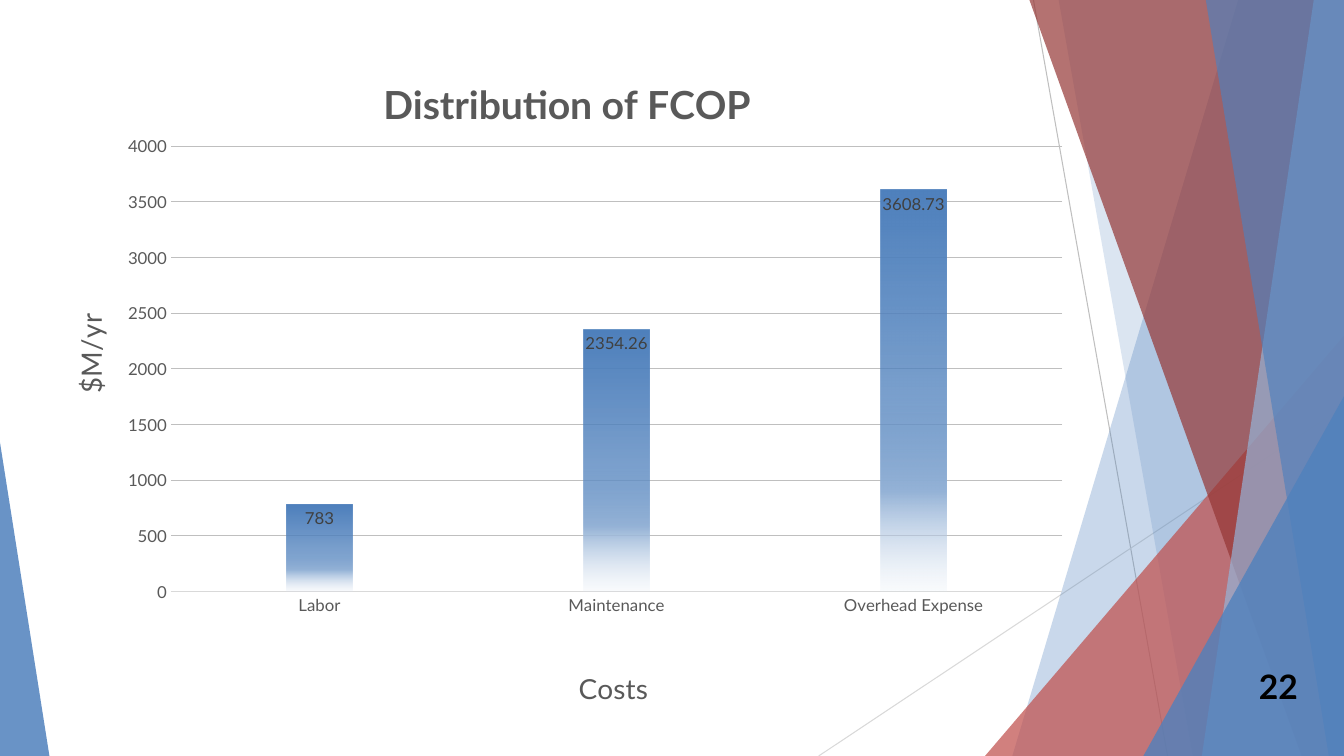
from lxml import etree
from pptx import Presentation
from pptx import util as u
from pptx.chart.data import CategoryChartData
from pptx.dml.color import RGBColor
from pptx.enum import chart as ch, shapes, text
from pptx.oxml import parse_xml
from pptx.oxml.ns import nsdecls, qn

FONT = "Lato"
BLUE = "4F81BD"
WIDE, HIGH = 13.33, 7.5


def color(code):
    return RGBColor.from_string(code)


def fade(node, pct):
    """Set the opacity of a colour element."""
    etree.SubElement(node, qn("a:alpha")).set("val", str(pct * 1000))


def style(font, size, code, bold=False):
    font.name, font.size, font.bold = FONT, u.Pt(size), bold
    font.color.rgb = color(code)


def paint(shape, code, pct):
    shape.shadow.inherit = False
    shape.fill.solid()
    shape.fill.fore_color.rgb = color(code)
    fade(shape.fill._xPr.find(".//" + qn("a:srgbClr")), pct)
    shape.line.fill.background()


def ray(slide, start, end, code):
    line = slide.shapes.add_connector(
        shapes.MSO_CONNECTOR.STRAIGHT, *map(u.Inches, start + end))
    line.line.color.rgb = color(code)
    line.line.width = u.Pt(0.75)
    etree.SubElement(line._element.spPr, qn("a:effectLst"))


def band(slide, top, foot, code, pct):
    """A band from its slanted left edge to the right side of the slide."""
    pts = [(top, 0), (WIDE, 0), (WIDE, HIGH), (foot, HIGH)]
    pts = [(u.Inches(x), u.Inches(y)) for x, y in pts]
    form = slide.shapes.build_freeform(*pts[0])
    form.add_line_segments(pts[1:], close=True)
    paint(form.convert_to_shape(), code, pct)


def wedge(slide, left, top, width, tip, code, pct):
    """A triangle that stands on the bottom of the slide."""
    shape = slide.shapes.add_shape(
        shapes.MSO_SHAPE.ISOSCELES_TRIANGLE,
        *map(u.Inches, (left, top, width, HIGH - top)))
    shape.adjustments[0] = tip
    paint(shape, code, pct)


def decor(slide):
    ray(slide, (10.25, 0), (11.58, HIGH), "BFBFBF")
    ray(slide, (WIDE, 4.03), (8.12, HIGH), "D9D9D9")
    band(slide, 12.28, 10.04, BLUE, 30)
    band(slide, 10.5, 11.83, BLUE, 20)
    wedge(slide, 9.77, 3.33, 3.56, 1, "C0504D", 72)
    band(slide, 10.21, 12.91, "953735", 70)
    band(slide, 13.03, 11.92, "95B3D7", 70)
    band(slide, 11.96, 13.18, BLUE, 65)
    wedge(slide, 11.34, 3.93, 1.99, 1, BLUE, 80)
    wedge(slide, 0, 4.39, 0.49, 0, BLUE, 85)


def number(slide, box):
    frame = slide.shapes.add_textbox(*map(u.Inches, box)).text_frame
    frame.word_wrap = True
    frame.vertical_anchor = text.MSO_ANCHOR.MIDDLE
    frame.text = "22"
    para = frame.paragraphs[0]
    para.alignment = text.PP_ALIGN.RIGHT
    style(para.runs[0].font, 24, "000000", True)


def place(node, **spots):
    """Give a chart part a manual layout in shares of the chart."""
    for old in node.findall(qn("c:layout")):
        node.remove(old)
    layout = parse_xml(f"<c:layout {nsdecls('c')}><c:manualLayout/></c:layout>")
    if "w" in spots:
        etree.SubElement(layout[0], qn("c:layoutTarget")).set("val", "inner")
    for key in "xy":
        etree.SubElement(layout[0], qn(f"c:{key}Mode")).set("val", "edge")
    for key, val in spots.items():
        etree.SubElement(layout[0], qn(f"c:{key}")).set("val", str(val))
    words = node.find(qn("c:tx"))
    if words is None:
        node.insert(0, layout)
    else:
        words.addnext(layout)


def label(title, words, size, x, y, bold=False):
    title.text_frame.text = words
    style(title.text_frame.paragraphs[0].runs[0].font, size, "595959", bold)
    place(title._element, x=x, y=y)


def shade(series):
    fill = series.format.fill
    fill.gradient()
    fill.gradient_angle = 270
    stops = series._element.find(".//" + qn("a:gsLst"))
    for old in list(stops):
        stops.remove(old)
    for pos, code, pct in ((0, BLUE, 100), (51, BLUE, 75),
                           (75, "95B3D7", 100), (100, "DCE6F2", 15)):
        stop = etree.SubElement(stops, qn("a:gs"))
        stop.set("pos", str(pos * 1000))
        tone = etree.SubElement(stop, qn("a:srgbClr"))
        tone.set("val", code)
        fade(tone, pct)


def costs(slide, box):
    data = CategoryChartData()
    data.categories = ["Labor", "Maintenance", "Overhead Expense"]
    data.add_series("Series 1", (783, 2354.26, 3608.73))
    chart = slide.shapes.add_chart(
        ch.XL_CHART_TYPE.COLUMN_CLUSTERED, *map(u.Inches, box), data).chart
    style(chart.font, 10, "000000")
    chart.has_legend = False

    # Titles and plot area
    cat, val = chart.category_axis, chart.value_axis
    label(chart.chart_title, "Distribution of FCOP", 28, 0.32, 0.05, True)
    label(cat.axis_title, "Costs", 20, 0.51, 0.94)
    label(val.axis_title, "$M/yr", 20, 0.02, 0.41)
    plane = chart._chartSpace.find(".//" + qn("c:plotArea"))
    place(plane, x=0.122, y=0.165, w=0.859, h=0.668)

    # Axes
    for axis in (cat, val):
        axis.major_tick_mark = axis.minor_tick_mark = ch.XL_TICK_MARK.NONE
        style(axis.tick_labels.font, 12, "595959")
    cat.format.line.color.rgb = color("D9D9D9")
    cat.format.line.width = u.Pt(0.75)
    val.format.line.fill.background()
    val.minimum_scale, val.maximum_scale, val.major_unit = 0, 4000, 500
    grid = val.major_gridlines.format.line
    grid.color.rgb = color("BFBFBF")
    grid.width = u.Pt(0.75)

    # Columns
    plot = chart.plots[0]
    plot.vary_by_categories = False
    plot.gap_width, plot.overlap = 355, -70
    shade(plot.series[0])
    tags = plot.series[0].data_labels
    tags.show_value = True
    tags.position = ch.XL_LABEL_POSITION.INSIDE_END
    style(tags.font, 12, "404040")


def main():
    deck = Presentation()
    deck.slide_width, deck.slide_height = u.Inches(WIDE), u.Inches(HIGH)
    slide = deck.slides.add_slide(deck.slide_layouts[6])
    decor(slide)
    number(slide, (12.22, 6.61, 0.75, 0.4))
    costs(slide, (0.44, 0.36, 10.29, 6.72))
    deck.save("out.pptx")


if __name__ == "__main__":
    main()
